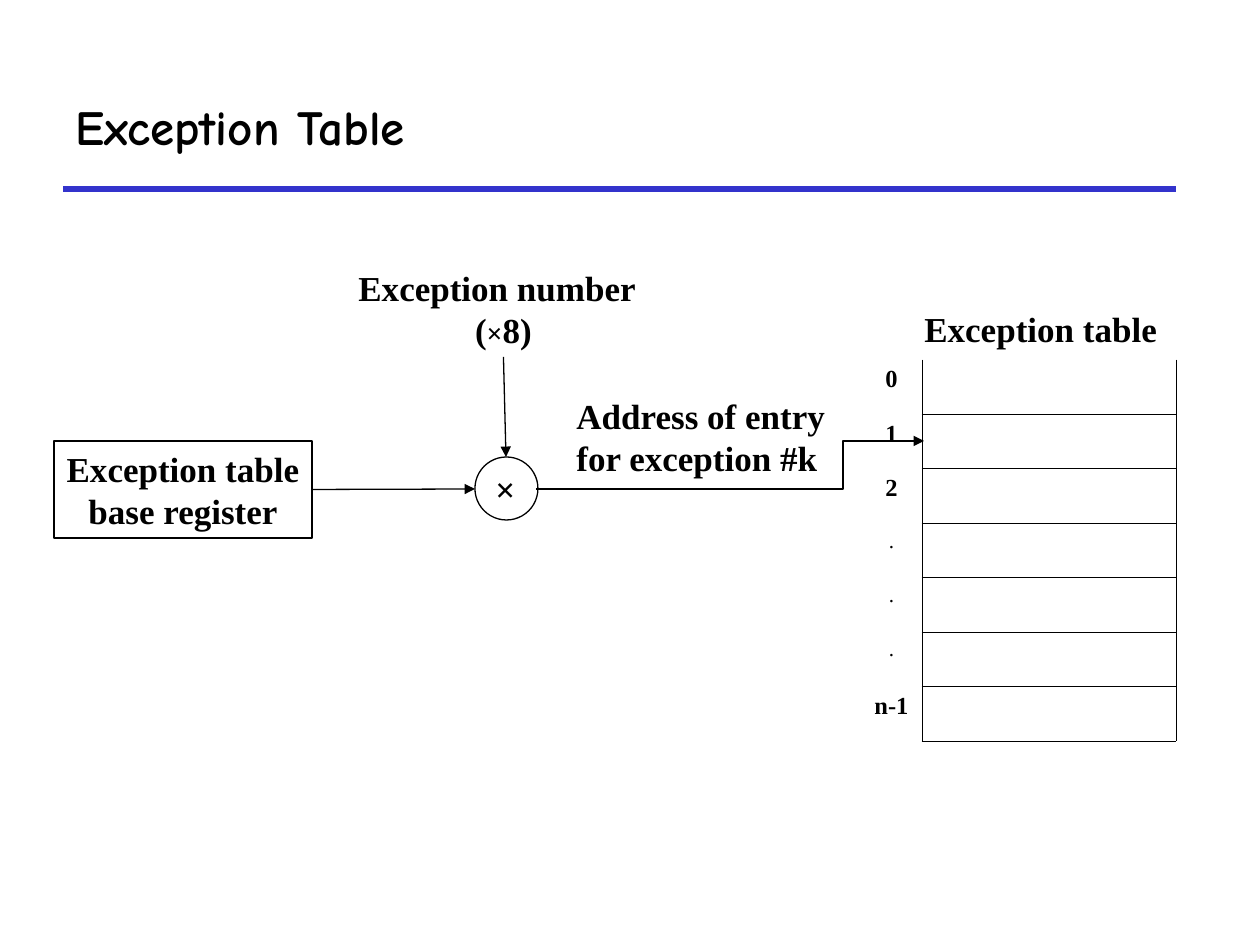
from lxml.etree import SubElement
from pptx import Presentation
from pptx.dml.color import RGBColor
from pptx.enum.shapes import MSO_CONNECTOR, MSO_SHAPE
from pptx.enum.text import MSO_ANCHOR, PP_ALIGN
from pptx.oxml.ns import qn
from pptx.util import Emu, Pt

# Content: each line of a label is a list of (text, size name) runs
TITLE = "Exception Table"
NUMBER = [[("Exception number", "label")],
          [("(", "label"), ("×", "times"), ("8)", "label")]]
REGISTER = [[("Exception table", "label")], [("base register", "label")]]
ADDRESS = [[("Address of entry", "label")], [("for exception #k", "label")]]
OPERATOR = [[("×", "label")]]
TABLE_HEAD = "Exception table"
INDEXES = ["0", "1", "2", ".", ".", ".", "n-1"]

THEME = {
    "title_font": "Comic Neue", "font": "Times New Roman",
    "ink": RGBColor(0, 0, 0), "rule": RGBColor(0x33, 0x33, 0xCC),
    "title": Pt(28), "label": Pt(20), "times": Pt(16),
    "index": Pt(14), "dots": Pt(12),
    "line": Pt(0.75), "rule_line": Pt(3), "border": Pt(0.45),
}
LEFT, CENTER = PP_ALIGN.LEFT, PP_ALIGN.CENTER


def px(n):
    return Emu(round(n * 914400 / 126))


def style(font, size, bold=True, name="font"):
    values = {"name": THEME[name], "size": THEME[size], "bold": bold}
    for key, value in values.items():
        setattr(font, key, value)
    font.color.rgb = THEME["ink"]


def write(tf, lines, aligns, wrap=False):
    tf.word_wrap = wrap
    for i, (line, align) in enumerate(zip(lines, aligns)):
        p = tf.paragraphs[0] if i == 0 else tf.add_paragraph()
        p.alignment = align
        for text, size in line:
            r = p.add_run()
            r.text = text
            style(r.font, size)


def text_box(shapes, box, lines, aligns, wrap=False):
    s = shapes.add_textbox(*map(px, box))
    write(s.text_frame, lines, aligns, wrap)
    return s


def outline(shapes, kind, box):
    s = shapes.add_shape(kind, *map(px, box))
    s.shadow.inherit = False
    s.fill.background()
    s.line.color.rgb = THEME["ink"]
    s.line.width = THEME["line"]
    return s


def connect(shapes, start, end, kind=MSO_CONNECTOR.STRAIGHT,
            color="ink", width="line", arrow=True):
    s = shapes.add_connector(kind, *map(px, start + end))
    s.line.color.rgb = THEME[color]
    s.line.width = THEME[width]
    if arrow:
        SubElement(s.line._get_or_add_ln(), qn("a:tailEnd"), type="triangle")
    SubElement(s._element.spPr, qn("a:effectLst"))
    return s


def set_borders(cell, sides):
    tc_pr = cell._tc.get_or_add_tcPr()
    for i, side in enumerate(("L", "R", "T", "B")):
        shown = side in sides
        ln = SubElement(tc_pr, qn("a:ln" + side),
                        w=str(THEME["border"] if shown else 0))
        if shown:
            fill = SubElement(ln, qn("a:solidFill"))
            SubElement(fill, qn("a:srgbClr"), val=str(THEME["ink"]))
        else:
            SubElement(ln, qn("a:noFill"))


def fill_cell(cell, text, size, bold, sides):
    set_borders(cell, sides)
    cell.fill.background()
    p = cell.text_frame.paragraphs[0]
    p.alignment = CENTER
    style(p.font, size, bold)
    if text:
        r = p.add_run()
        r.text = text
        style(r.font, size, bold)


def add_exception_table(shapes):
    rows = len(INDEXES) + 1
    frame = shapes.add_table(rows, 2, px(861), px(305), px(315), px(436))
    table = frame.table
    for flag in ("first_row", "horz_banding"):
        setattr(table, flag, False)
    for col, width in zip(table.columns, (61, 254)):
        col.width = px(width)
    for row in table.rows:
        row.height = px(436 / rows)
    head = table.cell(0, 0)
    head.merge(table.cell(0, 1))
    fill_cell(head, TABLE_HEAD, "label", True, "")
    set_borders(table.cell(0, 1), "")
    head.margin_left = px(57)
    for i, index in enumerate(INDEXES, 1):
        dots = index == "."
        fill_cell(table.cell(i, 0), index, "dots" if dots else "index", not dots, "R")
        fill_cell(table.cell(i, 1), "", "dots", False, "LRB" if i == 1 else "LRTB")


def main():
    prs = Presentation()
    prs.slide_width, prs.slide_height = px(1260), px(945)
    slide = prs.slides.add_slide(prs.slide_layouts[5])
    shapes = slide.shapes

    # Title and rule
    connect(shapes, (63, 189), (1176, 189), color="rule", width="rule_line", arrow=False)
    title = shapes.title
    for key, value in zip(("left", "top", "width", "height"), (63, 63, 1113, 126)):
        setattr(title, key, px(value))
    tf = title.text_frame
    tf.text = TITLE
    tf.vertical_anchor = MSO_ANCHOR.MIDDLE
    tf.paragraphs[0].alignment = LEFT
    style(tf.paragraphs[0].runs[0].font, "title", name="title_font")

    # Inputs
    number = text_box(shapes, (346, 260, 315, 97), NUMBER, (LEFT, CENTER), wrap=True)
    register = outline(shapes, MSO_SHAPE.RECTANGLE, (54, 441, 258, 97))
    write(register.text_frame, REGISTER, (CENTER, CENTER))

    # Table and the address label
    add_exception_table(shapes)
    text_box(shapes, (564, 388, 284, 97), ADDRESS, (LEFT, LEFT))

    # Operator
    group = shapes.add_group_shape()
    outline(group.shapes, MSO_SHAPE.FLOWCHART_CONNECTOR, (475, 457, 63, 63))
    text_box(group.shapes, (483, 461, 45, 55), OPERATOR, (LEFT,))

    # Arrows
    connect(shapes, (504, 357), (506, 457)).begin_connect(number, 2)
    connect(shapes, (312, 489), (475, 489)).begin_connect(register, 3)
    bent = connect(shapes, (536, 489), (924, 441), MSO_CONNECTOR.ELBOW)
    guides = bent._element.spPr.find(qn("a:prstGeom")).find(qn("a:avLst"))
    SubElement(guides, qn("a:gd"), name="adj1", fmla="val 79100")

    prs.save("out.pptx")


if __name__ == "__main__":
    main()
